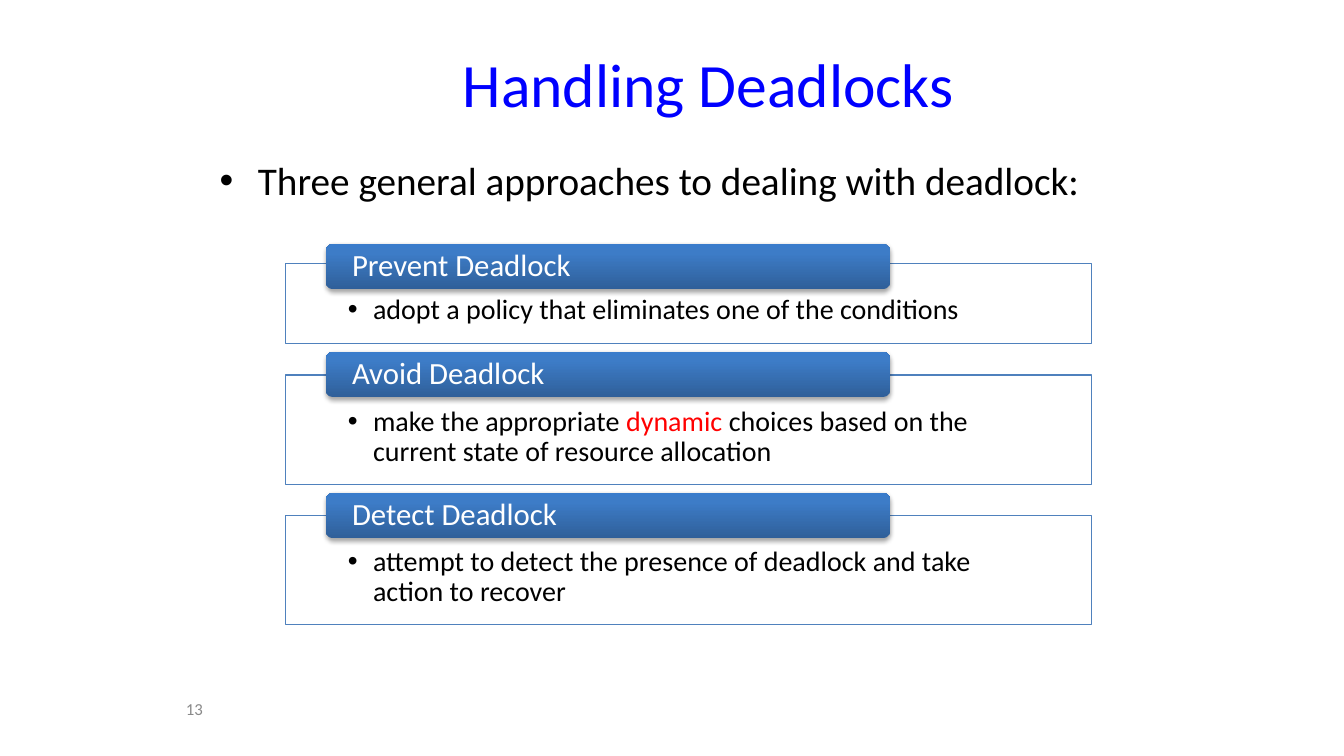
import copy

import lxml.etree
import pptx
import pptx.dml.color
import pptx.enum.shapes
import pptx.enum.text
import pptx.oxml.ns
import pptx.util

PX = 9144
FONT = "Calibri"
SHAPE = pptx.enum.shapes.MSO_SHAPE
ALIGN = pptx.enum.text.PP_ALIGN
ANCHOR = pptx.enum.text.MSO_ANCHOR
qn = pptx.oxml.ns.qn

STOPS = [(0, "2F5F99"), (0.8, "3D7CC7"), (1, "3A7CCB")]
CARDS = [
    (242, 261, 80, "Prevent Deadlock",
     [("adopt a policy that eliminates one of the conditions", "000000")]),
    (349, 372, 109, "Avoid Deadlock",
     [("make the appropriate ", "000000"), ("dynamic", "FF0000"),
      (" choices based on the current state of resource allocation", "000000")]),
    (489, 511, 109, "Detect Deadlock",
     [("attempt to detect the presence of deadlock and take action to recover",
       "000000")]),
]


def px(n):
    return pptx.util.Emu(n * PX)


def paint(color, tone):
    color.rgb = pptx.dml.color.RGBColor.from_string(tone)


def child(node, tag, **attrs):
    return lxml.etree.SubElement(node, qn(tag), attrs)


def bullet(para, indent):
    props = para._p.get_or_add_pPr()
    props.set("marL", str(px(indent)))
    props.set("indent", str(-px(indent)))
    child(props, "a:buFont", typeface="Arial")
    child(props, "a:buChar", char="•")


def write(shape, runs, size, align=ALIGN.LEFT, anchor=ANCHOR.TOP,
          pads=(10, 5, 10, 5), indent=0, space=1.0):
    frame = shape.text_frame
    frame.word_wrap = True
    frame.vertical_anchor = anchor
    frame.margin_left, frame.margin_top, frame.margin_right, frame.margin_bottom = map(px, pads)
    para = frame.paragraphs[0]
    para.alignment = align
    para.line_spacing = space
    if indent:
        bullet(para, indent)
    for text, tone in runs:
        run = para.add_run()
        run.text = text
        run.font.name = FONT
        run.font.size = pptx.util.Pt(size)
        paint(run.font.color, tone)


def label(slide, spot, text, tone, size, **style):
    box = slide.shapes.add_textbox(*map(px, spot))
    write(box, [(text, tone)], size, **style)


def panel(slide, top, high, runs):
    box = slide.shapes.add_shape(SHAPE.RECTANGLE, *map(px, (283, top, 800, high)))
    box.shadow.inherit = False
    box.fill.solid()
    paint(box.fill.fore_color, "FFFFFF")
    tone = box._element.spPr.find(qn("a:solidFill"))[0]
    child(tone, "a:alpha", val="90000")
    paint(box.line.color, "4F81BD")
    box.line.width = pptx.util.Pt(0.75)
    write(box, runs, 20, pads=(62, 32, 62, 16), indent=25, space=0.9)


def shade(shape):
    shape.shadow.inherit = False
    effects = shape._element.spPr.find(qn("a:effectLst"))
    drop = child(effects, "a:outerShdw", blurRad="40000", dist="23000",
                 dir="5400000", rotWithShape="0")
    tone = child(drop, "a:srgbClr", val="000000")
    child(tone, "a:alpha", val="35000")


def header(slide, top, text):
    tab = slide.shapes.add_shape(SHAPE.ROUNDED_RECTANGLE, *map(px, (323, top, 560, 45)))
    shade(tab)
    tab.line.fill.background()
    tab.fill.gradient()
    tab.fill.gradient_angle = 90
    marks = tab._element.spPr.find(qn("a:gradFill")).find(qn("a:gsLst"))
    marks.append(copy.deepcopy(marks[-1]))
    for stop, (place, tone) in zip(tab.fill.gradient_stops, STOPS):
        stop.position = place
        paint(stop.color, tone)
    write(tab, [(text, "FFFFFF")], 22, anchor=ANCHOR.MIDDLE,
          pads=(24, 0, 24, 0), space=0.9)


def main():
    deck = pptx.Presentation()
    deck.slide_width, deck.slide_height = px(1333), px(750)
    slide = deck.slides.add_slide(deck.slide_layouts[6])
    label(slide, (288, 23, 829, 118), "Handling Deadlocks", "0000FF", 44,
          align=ALIGN.CENTER, anchor=ANCHOR.MIDDLE)
    label(slide, (208, 150, 908, 83),
          "Three general approaches to dealing with deadlock:", "000000", 28,
          indent=38)
    for tab, top, high, name, runs in CARDS:
        panel(slide, top, high, runs)
        header(slide, tab, name)
    label(slide, (33, 683, 178, 40), "13", "898989", 12,
          align=ALIGN.RIGHT, anchor=ANCHOR.MIDDLE)
    deck.save("out.pptx")


if __name__ == "__main__":
    main()
